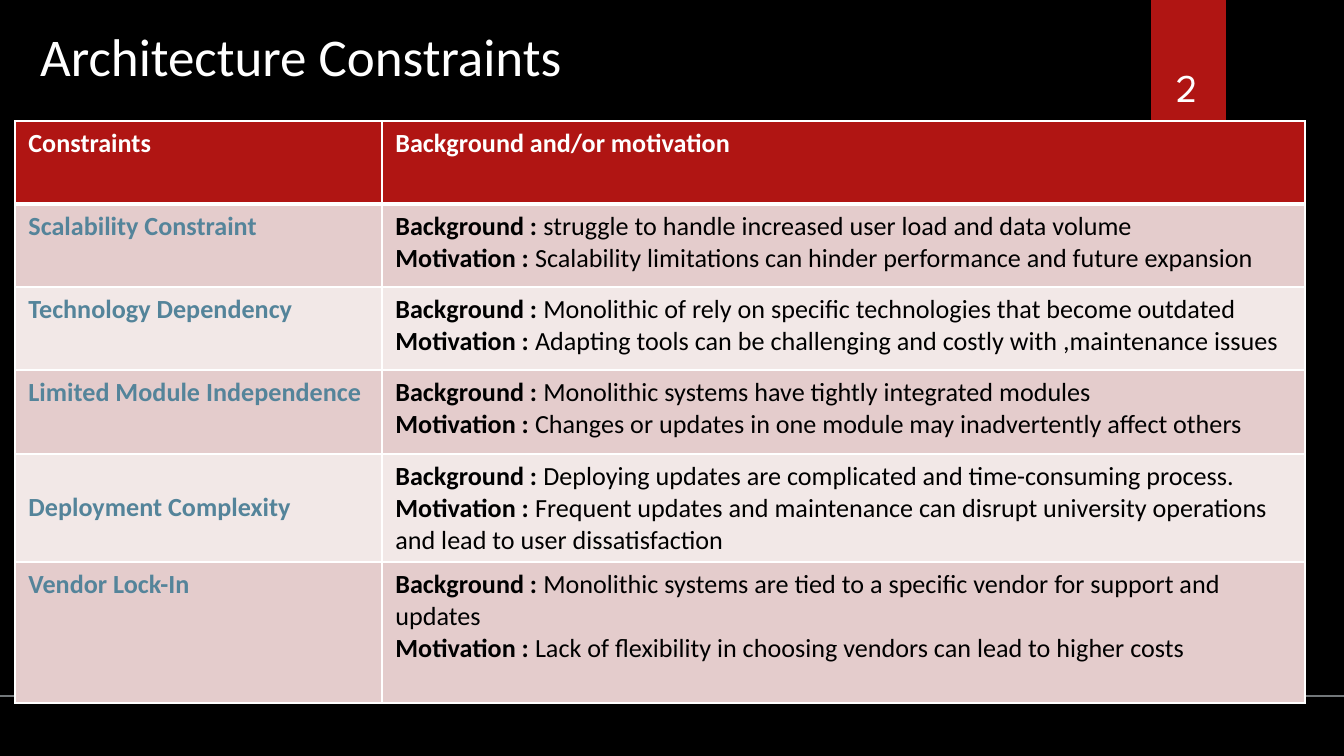
import pptx
import pptx.util
import pptx.dml.color
import pptx.enum.shapes
import pptx.enum.text
import lxml.etree

SCALE = 914400 / 134.4
WHITE, RED, BLUE, BLACK = "FFFFFF", "B01513", "54849A", "000000"
BANDS = ["E4CCCC", "F2E8E7"]
HEAD = ["Constraints", "Background and/or motivation"]
ROWS = [
    ("Scalability Constraint",
     "struggle to handle increased user load and data volume",
     "Scalability limitations can hinder performance and future expansion"),
    ("Technology Dependency",
     "Monolithic of rely on specific technologies that become outdated",
     "Adapting tools can be challenging and costly with ,maintenance issues"),
    ("Limited Module Independence",
     "Monolithic systems have tightly integrated modules",
     "Changes or updates in one module may inadvertently affect others"),
    ("Deployment Complexity",
     "Deploying updates are complicated and time-consuming process.",
     "Frequent updates and maintenance can disrupt university operations "
     "and lead to user dissatisfaction"),
    ("Vendor Lock-In",
     "Monolithic systems are tied to a specific vendor for support and updates",
     "Lack of flexibility in choosing vendors can lead to higher costs"),
]


def px(*vals):
    """Turn pixel lengths into a list of EMU."""
    return [pptx.util.Emu(round(v * SCALE)) for v in vals]


def style(run, size, color, bold=False, face="Calibri"):
    font = run.font
    font.size = pptx.util.Pt(size)
    font.name = face
    font.bold = bold
    font.color.rgb = pptx.dml.color.RGBColor.from_string(color)


prs = pptx.Presentation()
prs.slide_width, prs.slide_height = px(1344, 756)
slide = prs.slides.add_slide(prs.slide_layouts[6])
back = slide.background.fill
back.solid()
back.fore_color.rgb = pptx.dml.color.RGBColor.from_string(BLACK)

# Page tab and footer rule
tab = slide.shapes.add_shape(
    pptx.enum.shapes.MSO_SHAPE.RECTANGLE, *px(1151, 0, 75, 126))
tab.shadow.inherit = False
tab.fill.solid()
tab.fill.fore_color.rgb = pptx.dml.color.RGBColor.from_string(RED)
tab.line.fill.background()

rule = slide.shapes.add_connector(
    pptx.enum.shapes.MSO_CONNECTOR.STRAIGHT, *px(0, 696, 1344, 696))
rule.line.width = pptx.util.Pt(1)
rule.line.color.rgb = pptx.dml.color.RGBColor.from_string("72777A")
lxml.etree.SubElement(rule._element.spPr, pptx.oxml.ns.qn("a:effectLst"))

# Title and page number
title = slide.shapes.add_textbox(*px(27, 17, 1290, 65)).text_frame
title.word_wrap = True
title.text = "Architecture Constraints"
style(title.paragraphs[0].runs[0], 28.4, WHITE)

page = slide.shapes.add_textbox(*px(1141, 32, 93, 85)).text_frame
page.word_wrap = True
page.vertical_anchor = pptx.enum.text.MSO_ANCHOR.BOTTOM
page.text = "2"
page.paragraphs[0].alignment = pptx.enum.text.PP_ALIGN.CENTER
style(page.paragraphs[0].runs[0], 21, WHITE, face="League Spartan")

# Constraints table
table = slide.shapes.add_table(
    len(ROWS) + 1, 2, *px(15, 121, 1290, 582)).table
for col, width in zip(table.columns, px(367, 923)):
    col.width = width
for row, height in zip(table.rows, px(83, 83, 83, 84, 108, 141)):
    row.height = height

for cell, text in zip(table.rows[0].cells, HEAD):
    cell.text_frame.text = text
    style(cell.text_frame.paragraphs[0].runs[0], 14, WHITE, True)

for r, (name, ground, motive) in enumerate(ROWS, 1):
    label, body = table.rows[r].cells
    label.text_frame.text = name
    style(label.text_frame.paragraphs[0].runs[0], 14, BLUE, True)
    body.text_frame.text = "Background : \nMotivation : "
    for para, text in zip(body.text_frame.paragraphs, (ground, motive)):
        style(para.runs[0], 14, BLACK, True)
        run = para.add_run()
        run.text = text
        style(run, 14, BLACK)
table.cell(4, 0).vertical_anchor = pptx.enum.text.MSO_ANCHOR.MIDDLE

# Cell fills and borders, with a thick rule under the header
for r, row in enumerate(table.rows):
    for cell in row.cells:
        props = cell._tc.get_or_add_tcPr()
        for side in "LRTB":
            thick = (r, side) in [(0, "B"), (1, "T")]
            line = lxml.etree.SubElement(
                props, pptx.oxml.ns.qn("a:ln" + side),
                w=str(pptx.util.Pt(3 if thick else 1)))
            fill = lxml.etree.SubElement(line, pptx.oxml.ns.qn("a:solidFill"))
            lxml.etree.SubElement(
                fill, pptx.oxml.ns.qn("a:srgbClr"), val=WHITE)
        cell.fill.solid()
        cell.fill.fore_color.rgb = pptx.dml.color.RGBColor.from_string(
            BANDS[(r - 1) % 2] if r else RED)

prs.save("out.pptx")
